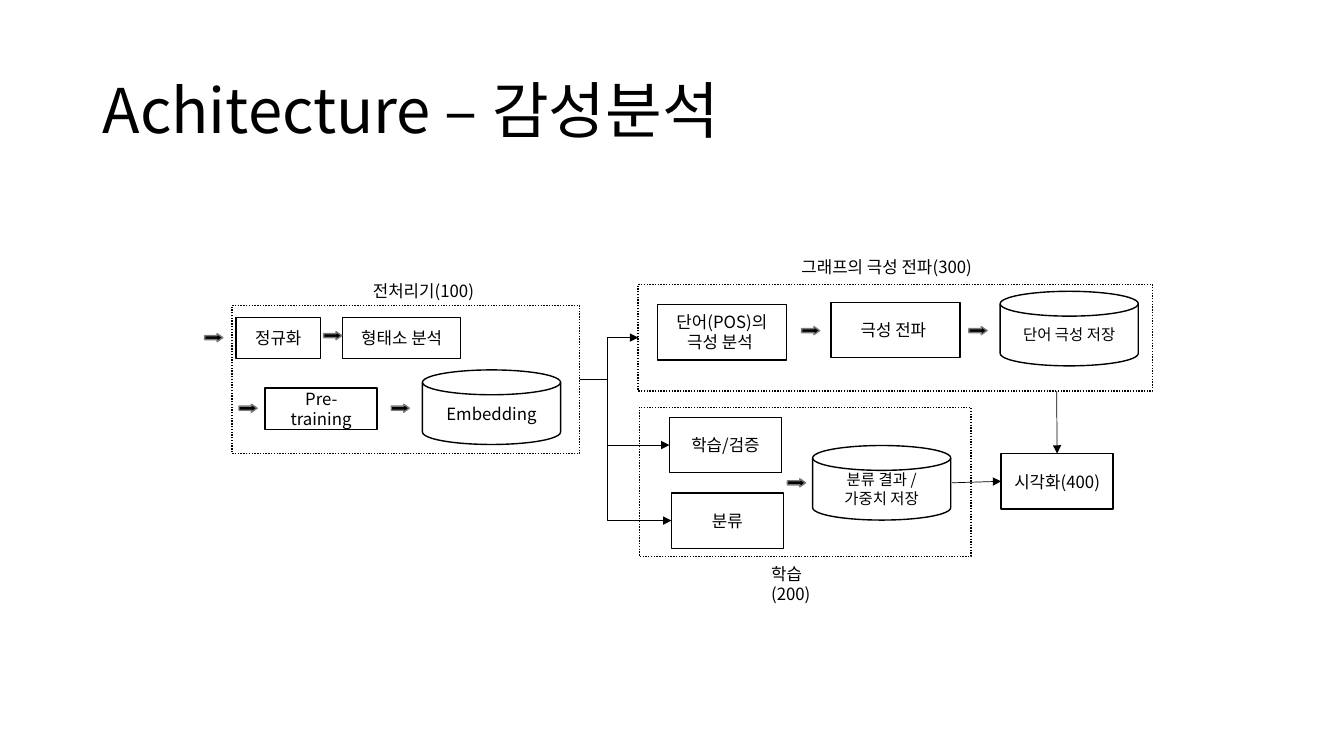
from lxml.etree import SubElement
from pptx import Presentation
from pptx.dml.color import RGBColor
from pptx.enum.dml import MSO_LINE
from pptx.enum.shapes import MSO_CONNECTOR, MSO_SHAPE
from pptx.enum.text import MSO_ANCHOR, MSO_AUTO_SIZE, PP_ALIGN
from pptx.oxml.ns import qn
from pptx.util import Inches, Pt

CELL = Inches(0.1)  # side of one grid square
FONT = "Noto Sans CJK KR"
COLORS = {"ink": "000000", "paper": "FFFFFF", "arrow_edge": "7A7A7A"}
BOX_HEIGHT = 5.5
SMALL_BOX_HEIGHT = 4.1
DISK_SIZE = (13.7, 7.4)
ARROW_SIZE = (1.8, 0.8)
BEND = 2.7  # columns from the preprocessor to the shared vertical line
RIGHT, LEFT, TOP = 3, 1, 0


def grid(*counts):
    return [round(count * CELL) for count in counts]


def color(name):
    return RGBColor.from_string(COLORS[name])


def write(frame, lines, size, align=None, spacing=None):
    for index, line in enumerate(lines):
        para = frame.paragraphs[0] if index == 0 else frame.add_paragraph()
        para.alignment = align
        para.line_spacing = spacing
        span = para.add_run()
        span.text = line
        span.font.size = Pt(size)
        span.font.color.rgb = color("ink")
        span.font.name = FONT
        SubElement(span.font._element, qn("a:ea"), typeface=FONT)


def add_label(page, text, left, top, width, height, size=12, wrap=True):
    box = page.shapes.add_textbox(*grid(left, top, width, height))
    box.text_frame.word_wrap = wrap
    box.text_frame.auto_size = MSO_AUTO_SIZE.SHAPE_TO_FIT_TEXT
    write(box.text_frame, [text], size)
    return box


def add_figure(page, kind, left, top, width, height, fill="paper", edge="ink"):
    figure = page.shapes.add_shape(kind, *grid(left, top, width, height))
    figure.shadow.inherit = False
    figure.fill.solid()
    figure.fill.fore_color.rgb = color(fill)
    figure.line.color.rgb = color(edge)
    figure.line.width = Pt(1)
    return figure


def add_region(page, *place):
    region = add_figure(page, MSO_SHAPE.RECTANGLE, *place)
    region.line.dash_style = MSO_LINE.ROUND_DOT
    return region


def add_node(page, kind, lines, size, *place):
    node = add_figure(page, kind, *place)
    node.text_frame.word_wrap = True
    node.text_frame.vertical_anchor = MSO_ANCHOR.MIDDLE
    write(node.text_frame, lines, size, PP_ALIGN.CENTER)
    return node


def add_step(page, text, left, top, width, height=BOX_HEIGHT):
    return add_node(page, MSO_SHAPE.RECTANGLE, [text], 12, left, top, width, height)


def add_store(page, lines, size, left, top):
    return add_node(page, MSO_SHAPE.FLOWCHART_MAGNETIC_DISK, lines, size,
                    left, top, *DISK_SIZE)


def add_block_arrow(page, left, top):
    arrow = add_figure(page, MSO_SHAPE.RIGHT_ARROW, left, top, *ARROW_SIZE,
                       fill="ink", edge="arrow_edge")
    arrow.adjustments[1] = 0.71


def add_link(page, kind, start=(0, 0), end=(0, 0)):
    link = page.shapes.add_connector(kind, *grid(*start, *end))
    link.line.color.rgb = color("ink")
    link.line.width = Pt(0.5)
    SubElement(link.line._get_or_add_ln(), qn("a:tailEnd"), type="triangle")
    SubElement(link._element.spPr, qn("a:effectLst"))
    return link


def add_branch(page, source, target):
    """Elbow from the right side of source to the left side of target."""
    link = add_link(page, MSO_CONNECTOR.ELBOW)
    link.begin_connect(source, RIGHT)
    link.end_connect(target, LEFT)
    guides = link._element.spPr.find(qn("a:prstGeom")).get_or_add_avLst()
    share = round(100000 * BEND * CELL / link.width)
    SubElement(guides, qn("a:gd"), name="adj1", fmla=f"val {share}")


def add_title(page):
    title = add_label(page, "", 9.2, 4, 115, 14.5)
    frame = title.text_frame
    frame.auto_size = MSO_AUTO_SIZE.NONE
    frame.vertical_anchor = MSO_ANCHOR.MIDDLE
    frame.clear()
    write(frame, ["Achitecture – 감성분석"], 44, spacing=0.9)


def main():
    deck = Presentation()
    deck.slide_width, deck.slide_height = Inches(13.33), Inches(7.5)
    page = deck.slides.add_slide(deck.slide_layouts[6])
    add_title(page)

    propagation = add_region(page, 63.3, 28.2, 51, 10.6)
    add_region(page, 63.4, 40.4, 32.9, 14.8)
    preprocessor = add_region(page, 23, 30.3, 34.5, 14.7)

    add_label(page, "전처리기(100)", 36, 27.4, 12.6, 3, wrap=False)
    add_label(page, "학습(200)", 75.5, 55.4, 8.7, 3)
    add_label(page, "그래프의 극성 전파(300)", 78.5, 25, 20.5, 3)

    add_step(page, "정규화", 23.4, 31.5, 8.4, SMALL_BOX_HEIGHT)
    add_step(page, "형태소 분석", 34, 31.5, 11.7, SMALL_BOX_HEIGHT)
    add_step(page, "Pre-training", 26.3, 38.5, 11.1, SMALL_BOX_HEIGHT)
    add_store(page, ["Embedding"], 12, 41.9, 36.7)

    add_step(page, "단어(POS)의 극성 분석 ", 65.2, 30.2, 12.8)
    add_step(page, "극성 전파 ", 82.4, 30, 12.8)
    add_store(page, ["단어 극성 저장"], 11, 99.2, 28.9)

    training = add_step(page, "학습/검증", 66.4, 41.4, 11.1)
    classifying = add_step(page, "분류", 66.6, 48.9, 11.1)
    add_store(page, ["분류 결과 /", "가중치 저장"], 11, 80.6, 44.2)
    display = add_step(page, "시각화(400)", 99.3, 45, 11.1)

    for left, top in [(20.3, 33.1), (32.1, 32.9), (23.7, 40.1), (38.8, 40.1),
                      (79.5, 32.4), (96.1, 32.4), (78.1, 47.5)]:
        add_block_arrow(page, left, top)

    for target in (propagation, training, classifying):
        add_branch(page, preprocessor, target)
    for start, side in [((94.4, 47.9), LEFT), ((104.8, 38.8), TOP)]:
        link = add_link(page, MSO_CONNECTOR.STRAIGHT, start, start)
        link.end_connect(display, side)

    deck.save("out.pptx")


if __name__ == "__main__":
    main()
